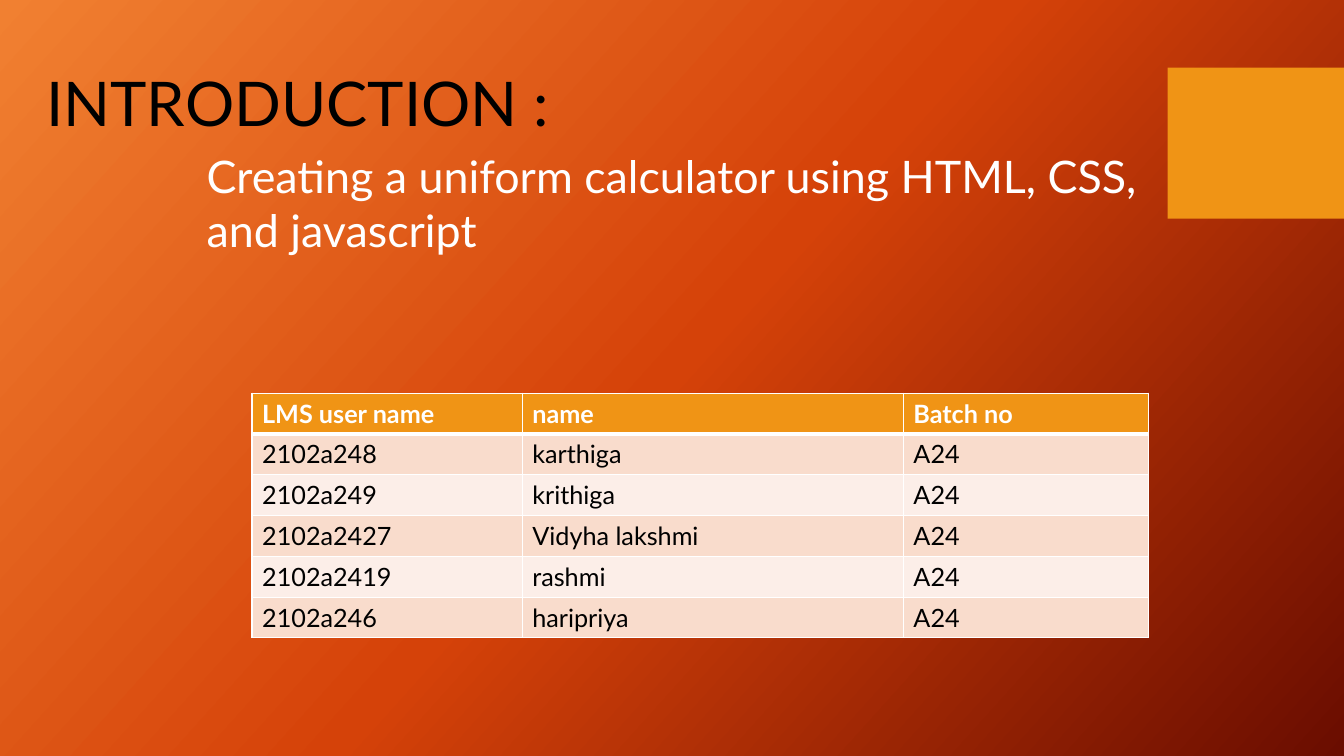
from copy import deepcopy

from pptx import Presentation
from pptx.dml.color import RGBColor
from pptx.enum.shapes import MSO_SHAPE
from pptx.enum.text import MSO_ANCHOR, MSO_AUTO_SIZE, PP_ALIGN
from pptx.oxml import parse_xml
from pptx.oxml.ns import nsdecls, qn
from pptx.util import Inches, Pt

RECTANGLE = MSO_SHAPE.RECTANGLE
TOP = MSO_ANCHOR.TOP
NO_AUTOFIT = MSO_AUTO_SIZE.NONE
LEFT = PP_ALIGN.LEFT

FONT = "Lato"
BLACK = "000000"
WHITE = "FFFFFF"
ORANGE = "F09415"
BANDS = ["F9DCCC", "FCEEE8"]
BACKDROP = [(0, "F18031"), (0.5, "D54209"), (1, "6A0D00")]
COLUMN_WIDTHS = [2.68, 3.78, 2.43]
ROW_HEIGHT = 0.405
MEMBERS = [
    ("LMS user name", "name", "Batch no"),
    ("2102a248", "karthiga", "A24"),
    ("2102a249", "krithiga", "A24"),
    ("2102a2427", "Vidyha lakshmi", "A24"),
    ("2102a2419", "rashmi", "A24"),
    ("2102a246", "haripriya", "A24"),
]


def rgb(value):
    return RGBColor.from_string(value)


def write(frame, text, size, color, bold=False):
    frame.word_wrap = True
    paragraph = frame.paragraphs[0]
    paragraph.alignment = LEFT
    run = paragraph.add_run()
    run.text = text
    run.font.name = FONT
    run.font.size = Pt(size)
    run.font.bold = bold
    run.font.color.rgb = rgb(color)


prs = Presentation()
prs.slide_width = Inches(13.33)
prs.slide_height = Inches(7.5)
slide = prs.slides.add_slide(prs.slide_layouts[5])

backdrop = slide.background.fill
backdrop.gradient()
backdrop.gradient_angle = 360 - 42
stop_list = slide.element.find(".//" + qn("a:gsLst"))
stop_list.append(deepcopy(stop_list[0]))
for stop, (position, color) in zip(backdrop.gradient_stops, BACKDROP):
    stop.position = position
    stop.color.rgb = rgb(color)

accent = slide.shapes.add_shape(
    RECTANGLE, Inches(11.58), Inches(0.67), Inches(1.75), Inches(1.5)
)
accent.shadow.inherit = False
accent.fill.solid()
accent.fill.fore_color.rgb = rgb(ORANGE)
accent.line.fill.background()

members = slide.shapes.add_table(
    len(MEMBERS), len(COLUMN_WIDTHS), Inches(2.5), Inches(3.9),
    Inches(sum(COLUMN_WIDTHS)), Inches(ROW_HEIGHT * len(MEMBERS)),
).table
for column, width in zip(members.columns, COLUMN_WIDTHS):
    column.width = Inches(width)

for row, member in enumerate(MEMBERS):
    members.rows[row].height = Inches(ROW_HEIGHT)
    is_header = row == 0
    for column, value in enumerate(member):
        cell = members.cell(row, column)
        write(cell.text_frame, value, 18, WHITE if is_header else BLACK, is_header)
        edges = {"L": 1, "R": 1, "T": 3 if row == 1 else 1, "B": 3 if is_header else 1}
        for side, weight in edges.items():
            cell._tc.get_or_add_tcPr().append(parse_xml(
                f'<a:ln{side} {nsdecls("a")} w="{Pt(weight)}"><a:solidFill>'
                f'<a:srgbClr val="{WHITE}"/></a:solidFill></a:ln{side}>'
            ))
        cell.fill.solid()
        cell.fill.fore_color.rgb = rgb(ORANGE if is_header else BANDS[(row - 1) % 2])

title = slide.shapes.title
title.left, title.top = Inches(0.36), Inches(0.59)
title.width, title.height = Inches(5.39), Inches(0.84)
title.text_frame.vertical_anchor = TOP
title.text_frame.auto_size = NO_AUTOFIT
write(title.text_frame, "INTRODUCTION :", 44, BLACK)

summary = slide.shapes.add_textbox(
    Inches(1.95), Inches(1.43), Inches(9.98), Inches(1.18)
)
write(
    summary.text_frame,
    "Creating a uniform calculator using HTML, CSS, and javascript",
    32, WHITE,
)

prs.save("out.pptx")
